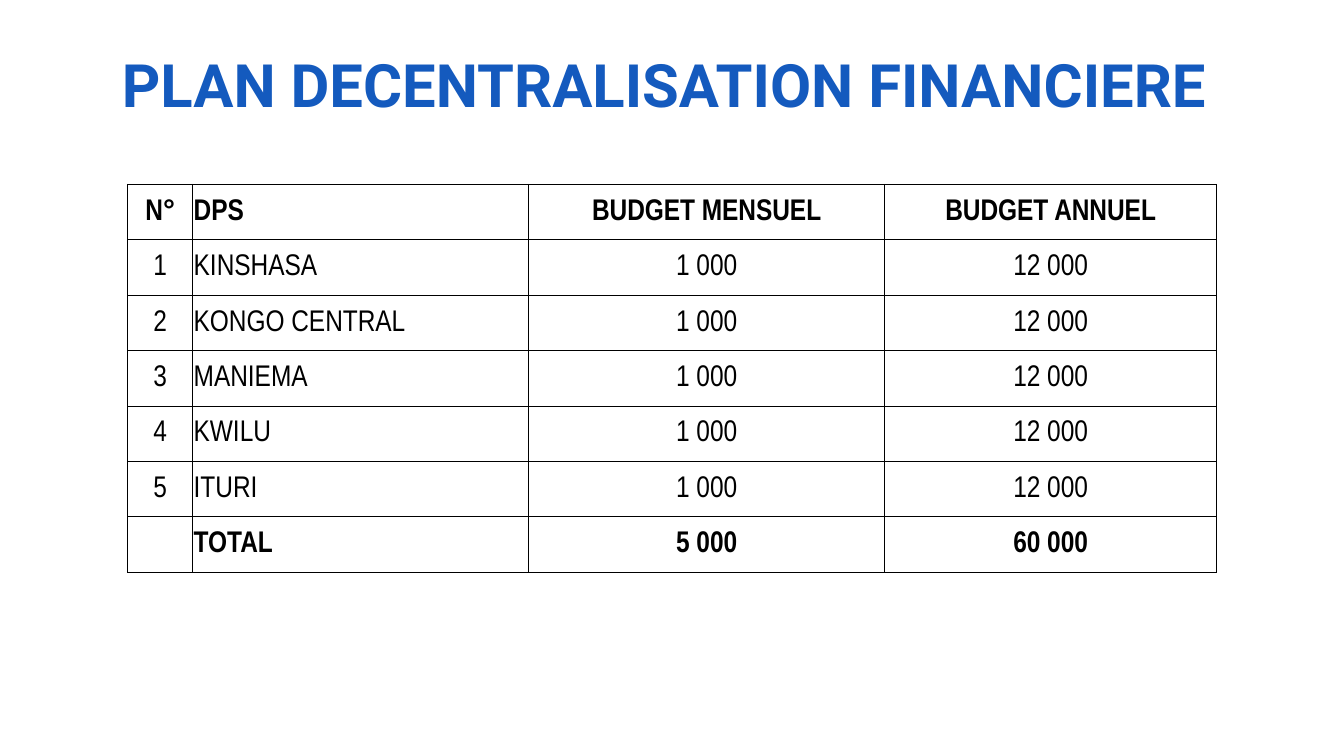
from pptx import Presentation, oxml
from pptx.dml.color import RGBColor
from pptx.enum import text
from pptx.oxml import ns
from pptx.util import Pt

COLOURS = {"title": "145ABE", "ink": "000000"}
HEADERS = ["N°", "DPS", "BUDGET MENSUEL", "BUDGET ANNUEL"]
PROVINCES = ["KINSHASA", "KONGO CENTRAL", "MANIEMA", "KWILU", "ITURI"]
TOTALS = ["", "TOTAL", "5 000", "60 000"]
COLUMN_WIDTHS = [34.8, 180, 190.8, 177.8]
ROW_HEIGHT = 29.7


def write_text(frame, content, font="Arial Narrow", size=16, colour="ink",
               bold=False, align=text.PP_ALIGN.CENTER):
    para = frame.paragraphs[0]
    para.alignment = align
    if not content:
        return
    span = para.add_run()
    span.text = content
    span.font.name = font
    span.font.size = Pt(size)
    span.font.bold = bold
    span.font.color.rgb = RGBColor.from_string(COLOURS[colour])


def add_title(page, content):
    box = page.shapes.title
    box.left, box.top, box.width, box.height = Pt(18.7), Pt(21.6), Pt(674.6), Pt(46.8)
    box.text_frame.vertical_anchor = text.MSO_ANCHOR.MIDDLE
    write_text(box.text_frame, content, font="Roboto", size=32, colour="title", bold=True)


def add_borders(cell):
    properties = cell._tc.get_or_add_tcPr()
    for side in ("lnL", "lnR", "lnT", "lnB"):
        properties.append(oxml.parse_xml(
            f'<a:{side} {ns.nsdecls("a")} w="{Pt(0.5)}"><a:solidFill>'
            f'<a:srgbClr val="{COLOURS["ink"]}"/></a:solidFill></a:{side}>'))


def format_cell(cell):
    cell.vertical_anchor = text.MSO_ANCHOR.MIDDLE
    cell.margin_left = cell.margin_right = cell.margin_top = Pt(0.6)
    cell.margin_bottom = Pt(0)
    add_borders(cell)
    cell.fill.background()


def add_budget_table(page, rows):
    frame = page.shapes.add_table(
        len(rows), len(HEADERS), Pt(68.4), Pt(98.8),
        Pt(sum(COLUMN_WIDTHS)), Pt(ROW_HEIGHT * len(rows)))
    table = frame.table
    table.horz_banding = False
    for column, width in zip(table.columns, COLUMN_WIDTHS):
        column.width = Pt(width)
    for r, values in enumerate(rows):
        table.rows[r].height = Pt(ROW_HEIGHT)
        for c, value in enumerate(values):
            cell = table.cell(r, c)
            format_cell(cell)
            align = text.PP_ALIGN.LEFT if c == 1 else text.PP_ALIGN.CENTER
            write_text(cell.text_frame, value, bold=r in (0, len(rows) - 1), align=align)


def main():
    """Build the financial decentralisation slide."""
    deck = Presentation()
    deck.slide_width, deck.slide_height = Pt(720), Pt(405)
    page = deck.slides.add_slide(deck.slide_layouts[5])
    add_title(page, "PLAN DECENTRALISATION FINANCIERE")
    budgets = [[str(number), province, "1 000", "12 000"]
               for number, province in enumerate(PROVINCES, 1)]
    add_budget_table(page, [HEADERS, *budgets, TOTALS])
    deck.save("out.pptx")


if __name__ == "__main__":
    main()
